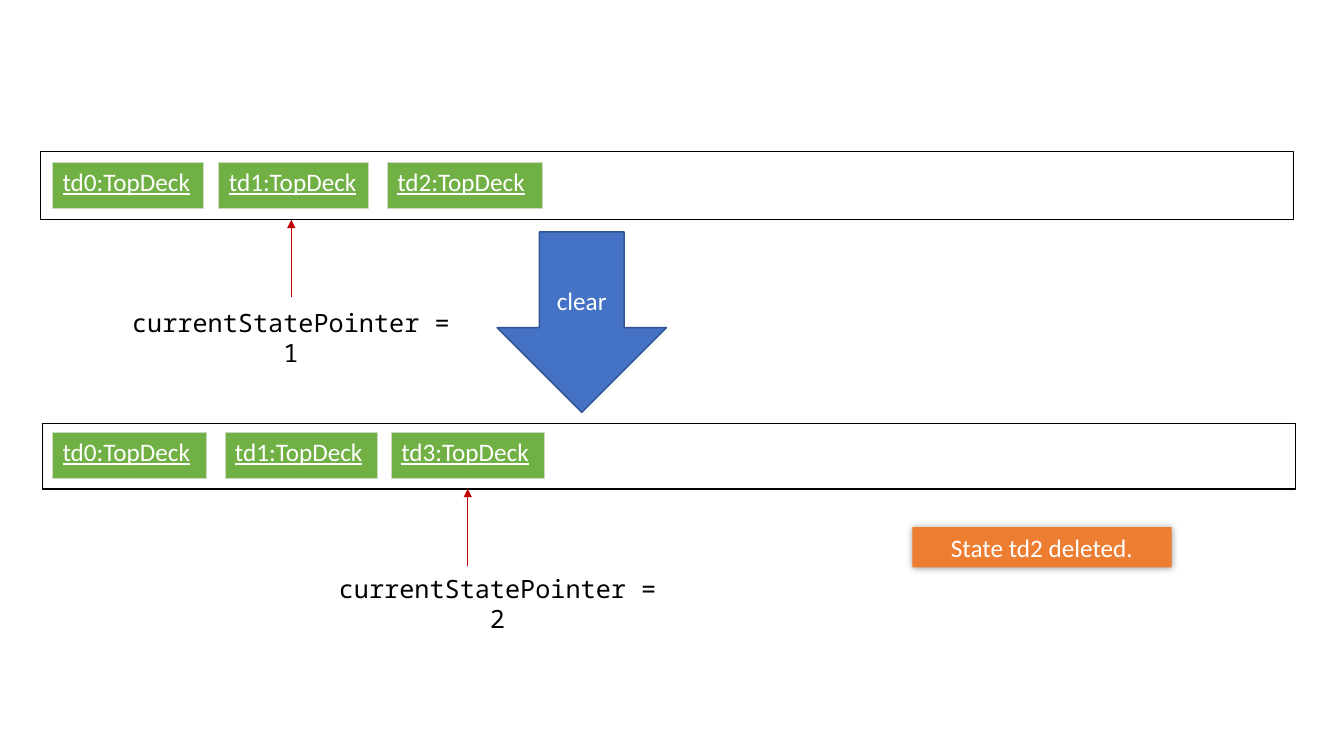
from lxml.etree import SubElement
from pptx import Presentation
from pptx.dml.color import RGBColor
from pptx.enum.shapes import MSO_CONNECTOR, MSO_SHAPE
from pptx.enum.text import MSO_ANCHOR, MSO_AUTO_SIZE, PP_ALIGN
from pptx.oxml import parse_xml
from pptx.oxml.ns import nsdecls, qn
from pptx.util import Inches, Pt


def color(hex_string):
    return RGBColor.from_string(hex_string)


def write_text(text_frame, text, font="Calibri", text_color="FFFFFF", align=PP_ALIGN.CENTER,
               anchor=MSO_ANCHOR.TOP, underline=None, grow=False):
    text_frame.word_wrap = True
    text_frame.vertical_anchor = anchor
    if grow:
        text_frame.auto_size = MSO_AUTO_SIZE.SHAPE_TO_FIT_TEXT
    paragraph = text_frame.paragraphs[0]
    paragraph.alignment = align
    run = paragraph.add_run()
    run.text = text
    run.font.name = font
    run.font.size = Pt(18)
    run.font.underline = underline
    run.font.color.rgb = color(text_color)


presentation = Presentation()
presentation.slide_width = Inches(13.33)
presentation.slide_height = Inches(7.5)
slide = presentation.slides.add_slide(presentation.slide_layouts[6])
shapes = slide.shapes

# Command arrow between the two histories
clear_arrow = shapes.add_shape(MSO_SHAPE.DOWN_ARROW, Inches(4.93), Inches(2.3),
                               Inches(1.68), Inches(1.79))
clear_arrow.shadow.inherit = False
clear_arrow.fill.solid()
clear_arrow.fill.fore_color.rgb = color("4472C4")
clear_arrow.line.color.rgb = color("325491")
clear_arrow.line.width = Pt(1)
write_text(clear_arrow.text_frame, "clear", anchor=MSO_ANCHOR.MIDDLE)

# Note with a soft glow-like shadow
note = shapes.add_shape(MSO_SHAPE.RECTANGLE, Inches(9.05), Inches(5.23), Inches(2.57), Inches(0.4))
note.shadow.inherit = False
note.fill.solid()
note.fill.fore_color.rgb = color("ED7D31")
note.line.fill.background()
write_text(note.text_frame, "State td2 deleted.", grow=True)
effects = note._element.spPr.find(qn("a:effectLst"))
effects.append(parse_xml(
    f'<a:outerShdw {nsdecls("a")} blurRad="{Pt(5)}" dist="0" dir="0" rotWithShape="0">'
    '<a:srgbClr val="000000"><a:alpha val="40000"/></a:srgbClr></a:outerShdw>'))

# Each history: bar (left, top, height), state top, states (name, left, width),
# pointer text, its left and top, and the arrow's x
histories = [
    ((0.4, 1.5, 0.68), 1.61,
     [("td0:TopDeck", 0.52, 1.5), ("td1:TopDeck", 2.17, 1.48), ("td2:TopDeck", 3.84, 1.54)],
     ("currentStatePointer = 1", 1.13, 3), 2.89),
    ((0.42, 4.2, 0.65), 4.29,
     [("td0:TopDeck", 0.52, 1.53), ("td1:TopDeck", 2.23, 1.51), ("td3:TopDeck", 3.88, 1.52)],
     ("currentStatePointer = 2", 3.18, 5.64), 4.64),
]

for (bar_left, bar_top, bar_height), state_top, states, pointer, arrow_x in histories:
    pointer_text, pointer_left, pointer_top = pointer
    label = shapes.add_textbox(Inches(pointer_left), Inches(pointer_top), Inches(3.51), Inches(0.4))
    write_text(label.text_frame, pointer_text, font="Noto Sans Mono", text_color="000000", grow=True)

    bar = shapes.add_shape(MSO_SHAPE.RECTANGLE, Inches(bar_left), Inches(bar_top),
                           Inches(12.43), Inches(bar_height))
    bar.shadow.inherit = False
    bar.fill.background()
    bar.line.color.rgb = color("000000")
    bar.line.width = Pt(1)

    for name, left, width in states:
        table = shapes.add_table(1, 1, Inches(left), Inches(state_top),
                                 Inches(width), Inches(0.46)).table
        table.first_row = False
        table.horz_banding = False
        cell = table.cell(0, 0)
        cell_properties = cell._tc.get_or_add_tcPr()
        for side in ("lnL", "lnR", "lnT", "lnB"):
            cell_properties.append(parse_xml(
                f'<a:{side} {nsdecls("a")} w="{Pt(0.5)}"><a:solidFill>'
                f'<a:srgbClr val="C9DBC1"/></a:solidFill></a:{side}>'))
        cell.fill.solid()
        cell.fill.fore_color.rgb = color("70B044")
        write_text(cell.text_frame, name, align=PP_ALIGN.LEFT, underline=True)

    bar_bottom = bar_top + bar_height
    arrow = shapes.add_connector(MSO_CONNECTOR.STRAIGHT, Inches(arrow_x), Inches(bar_bottom + 0.77),
                                 Inches(arrow_x), Inches(bar_bottom))
    arrow.line.color.rgb = color("C00000")
    arrow.line.width = Pt(0.5)
    arrow_properties = arrow._element.spPr
    SubElement(arrow_properties.find(qn("a:ln")), qn("a:tailEnd"), type="triangle")
    SubElement(arrow_properties, qn("a:effectLst"))

presentation.save("out.pptx")
